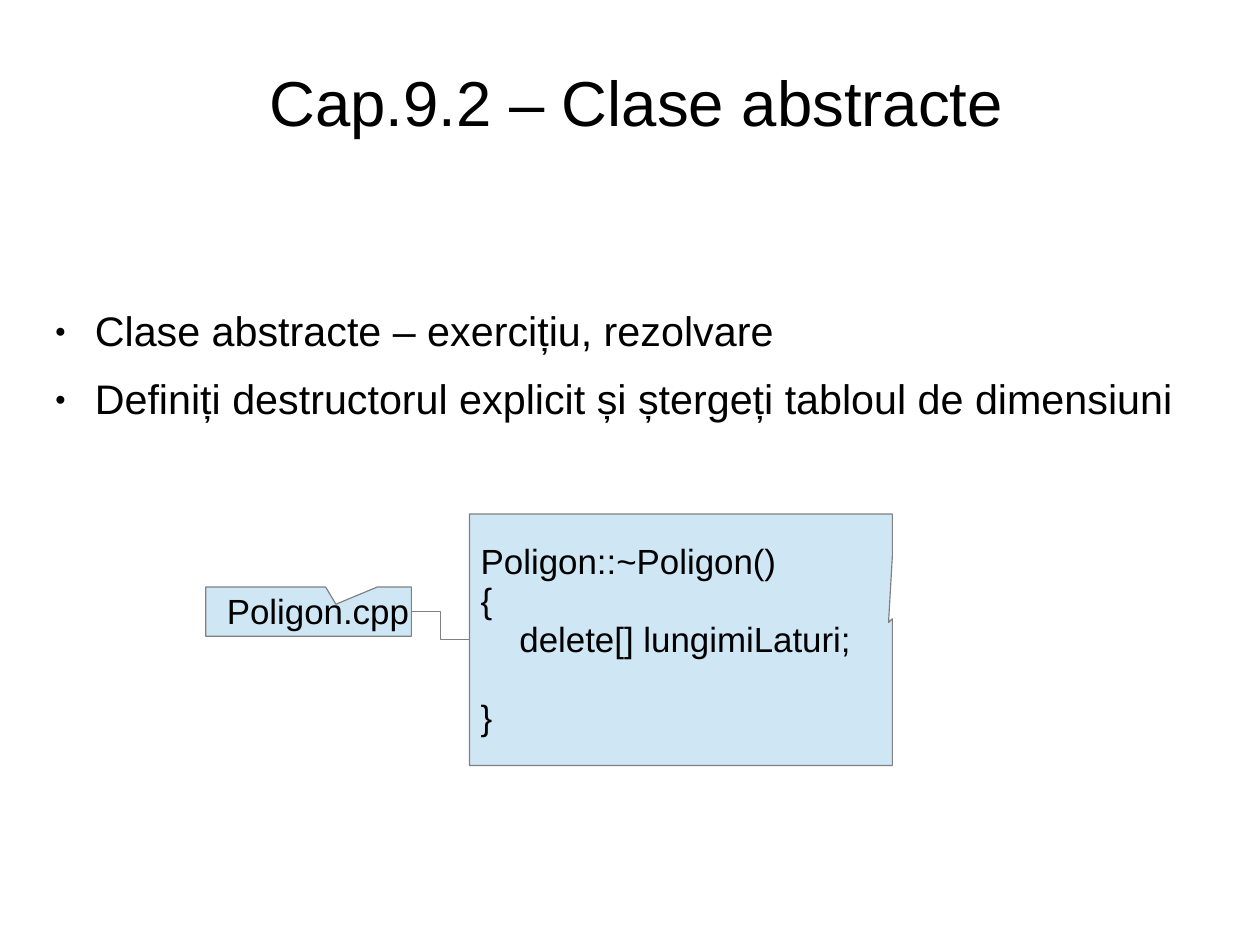
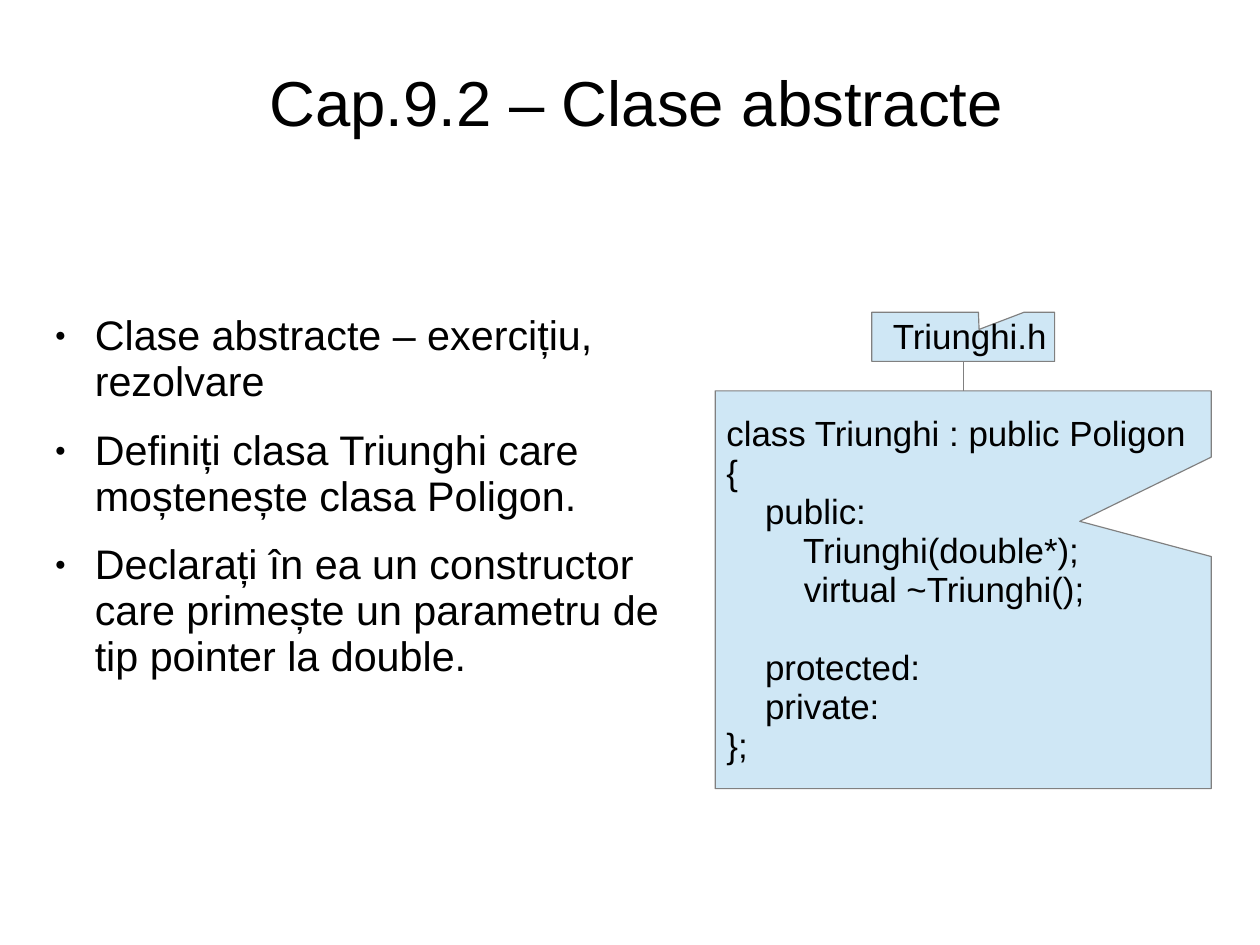
from lxml.etree import SubElement
from pptx import Presentation
from pptx.dml.color import RGBColor
from pptx.enum.shapes import MSO_CONNECTOR as Connector, MSO_SHAPE as Shape
from pptx.enum.text import MSO_ANCHOR as Anchor, MSO_AUTO_SIZE as AutoSize, PP_ALIGN as Align
from pptx.oxml.ns import qn
from pptx.util import Pt

COLORS = {"text": "000000", "box": "CFE7F5", "line": "808080"}
FONT = "Arial"
LINE_SPACING = 0.93
SLIDE_WIDTH, SLIDE_HEIGHT = 793.75, 595.25
MARGIN_LEFT = 25.92
TITLE = "Cap.9.2 – Clase abstracte"
TITLE_SIZE, BULLET_SIZE, CODE_SIZE = 40, 26, 22
TOP, LEFT, BOTTOM, RIGHT = range(4)

DESTRUCTOR_CODE = """Poligon::~Poligon()
{
    delete[] lungimiLaturi;

}"""

TRIANGLE_CODE = """class Triunghi : public Poligon
{
    public:
        Triunghi(double*);
        virtual ~Triunghi();

    protected:
    private:
};"""


def color(name):
    return RGBColor.from_string(COLORS[name])


def set_frame(frame, insets, anchor):
    """Insets are left, top, right, bottom in points."""
    frame.auto_size = AutoSize.NONE
    frame.word_wrap = True
    frame.vertical_anchor = anchor
    (frame.margin_left, frame.margin_top,
     frame.margin_right, frame.margin_bottom) = map(Pt, insets)


def style_paragraph(paragraph, size, align=Align.LEFT):
    paragraph.alignment = align
    paragraph.line_spacing = LINE_SPACING
    paragraph.font.name = FONT
    paragraph.font.size = Pt(size)
    paragraph.font.color.rgb = color("text")
    if not paragraph.text:
        # A blank code line takes its height from the end-of-paragraph mark.
        SubElement(paragraph._p, qn("a:endParaRPr"), sz=str(size * 100))


def add_titled_slide(prs):
    slide = prs.slides.add_slide(prs.slide_layouts[5])
    title = slide.shapes.title
    title.left, title.top, title.width, title.height = map(Pt, (MARGIN_LEFT, 20.16, 749.52, 89.28))
    title.text = TITLE
    set_frame(title.text_frame, (0, 2.88, 0, 0), Anchor.MIDDLE)
    style_paragraph(title.text_frame.paragraphs[0], TITLE_SIZE, Align.CENTER)
    return slide


def add_bullet_mark(paragraph):
    props = paragraph._p.get_or_add_pPr()
    props.set("marL", str(Pt(33.84)))
    props.set("indent", str(-Pt(25.2)))
    mark_color = SubElement(props, qn("a:buClr"))
    SubElement(mark_color, qn("a:srgbClr"), val=COLORS["text"])
    SubElement(props, qn("a:buSzPct"), val="45000")
    SubElement(props, qn("a:buFont"), typeface=FONT)
    SubElement(props, qn("a:buChar"), char="●")


def add_bullets(slide, top, width, height, items):
    frame = slide.shapes.add_textbox(*map(Pt, (MARGIN_LEFT, top, width, height))).text_frame
    set_frame(frame, (0, 2.16, 0, 0), Anchor.TOP)
    frame.text = "\n".join(items)
    for paragraph in frame.paragraphs:
        add_bullet_mark(paragraph)
        style_paragraph(paragraph, BULLET_SIZE)
        paragraph.space_after = Pt(14.1)


def add_callout(slide, bounds, tip, text, insets):
    """Tip is the pointer's offset from the centre, as shares of width and height."""
    callout = slide.shapes.add_shape(Shape.RECTANGULAR_CALLOUT, *map(Pt, bounds))
    callout.adjustments[0], callout.adjustments[1] = tip
    callout.shadow.inherit = False
    callout.fill.solid()
    callout.fill.fore_color.rgb = color("box")
    callout.line.color.rgb = color("line")
    callout.line.width = Pt(0.75)
    frame = callout.text_frame
    set_frame(frame, insets, Anchor.MIDDLE)
    frame.text = text
    for paragraph in frame.paragraphs:
        style_paragraph(paragraph, CODE_SIZE)
    return callout


def add_file_label(slide, left, top, width, tip, file_name):
    return add_callout(slide, (left, top, width, 30.96), tip, file_name, (13.3, 5.04, 0, 3.6))


def add_code(slide, bounds, tip, code):
    return add_callout(slide, bounds, tip, code, (7.2, 5.04, 7.2, 3.6))


def connect(slide, kind, start, start_side, end, end_side):
    link = slide.shapes.add_connector(kind, 0, 0, 0, 0)
    link.begin_connect(start, start_side)
    link.end_connect(end, end_side)
    link.line.color.rgb = color("line")
    link.line.width = Pt(0.75)
    SubElement(link._element.spPr, qn("a:effectLst"))


def build_destructor_slide(prs):
    slide = add_titled_slide(prs)
    add_bullets(slide, 192.7, 744.48, 97.92, [
        "Clase abstracte – exercițiu, rezolvare",
        "Definiți destructorul explicit și ștergeți tabloul de dimensiuni",
    ])
    label = add_file_label(slide, 129.6, 369.8, 129.6, (0.133, -0.15), "Poligon.cpp")
    code = add_code(slide, (295.8, 323.8, 266.4, 158.4), (0.491, -0.069), DESTRUCTOR_CODE)
    connect(slide, Connector.ELBOW, label, RIGHT, code, LEFT)


def build_triangle_slide(prs):
    slide = add_titled_slide(prs)
    add_bullets(slide, 195.6, 391.68, 308.16, [
        "Clase abstracte – exercițiu, rezolvare",
        "Definiți clasa Triunghi care moștenește clasa Poligon.",
        "Declarați în ea un constructor care primește un parametru de tip pointer la double.",
    ])
    label = add_file_label(slide, 549.2, 196.7, 115.2, (0.087, -0.15), "Triunghi.h")
    code = add_code(slide, (450.56, 246.2, 312.48, 250.56), (0.235, -0.172), TRIANGLE_CODE)
    connect(slide, Connector.STRAIGHT, label, BOTTOM, code, TOP)


def main():
    prs = Presentation()
    prs.slide_width, prs.slide_height = Pt(SLIDE_WIDTH), Pt(SLIDE_HEIGHT)
    build_destructor_slide(prs)
    build_triangle_slide(prs)
    prs.save("out.pptx")


if __name__ == "__main__":
    main()
